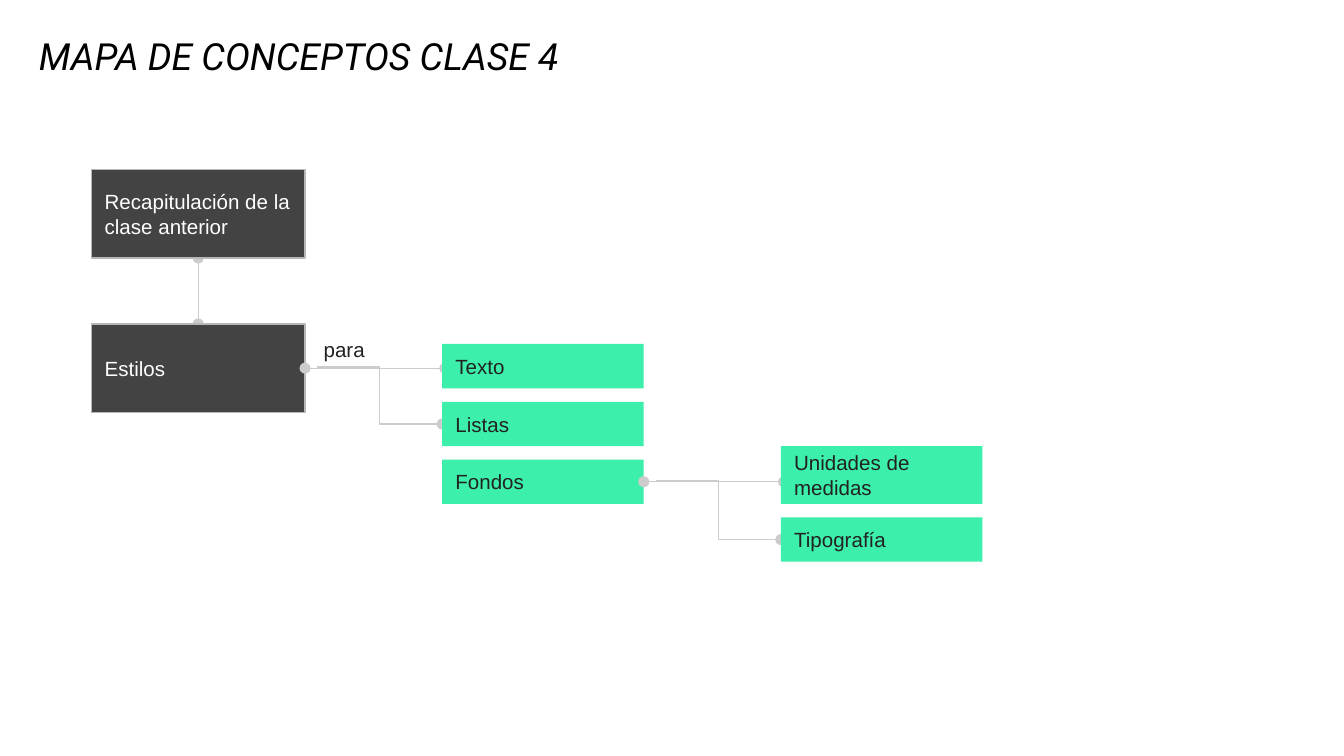
import dataclasses

import lxml.etree
import pptx
import pptx.dml.color
import pptx.enum.shapes
import pptx.enum.text
import pptx.oxml.ns
import pptx.util

SCALE = 9144  # EMU per px, 100 px to the inch
INSET = 10
GAP = 10
TOP, LEFT, BOTTOM, RIGHT = range(4)  # connection sites of a rectangle


@dataclasses.dataclass(frozen=True)
class Theme:
    dark: str = "434343"
    dark_edge: str = "B7B7B7"
    accent: str = "3CEFAB"
    link: str = "CCCCCC"
    black: str = "000000"
    white: str = "FFFFFF"
    ink: str = "222222"
    title_font: str = "Roboto"
    body_font: str = "Arial"
    title_size: int = 20
    body_size: int = 11
    line_width: float = 0.75


THEME = Theme()


def px(length):
    return pptx.util.Emu(round(length * SCALE))


def color(value):
    return pptx.dml.color.RGBColor.from_string(value)


def write(shape, text, ink, font=THEME.body_font, size=THEME.body_size,
          anchor=pptx.enum.text.MSO_ANCHOR.MIDDLE):
    frame = shape.text_frame
    frame.word_wrap = True
    frame.auto_size = pptx.enum.text.MSO_AUTO_SIZE.NONE
    frame.vertical_anchor = anchor
    frame.margin_left = frame.margin_right = px(INSET)
    frame.margin_top = frame.margin_bottom = px(INSET)
    para = frame.paragraphs[0]
    para.text = text
    para.alignment = pptx.enum.text.PP_ALIGN.LEFT
    para.font.name = font
    para.font.size = pptx.util.Pt(size)
    para.font.color.rgb = color(ink)
    return para


def add_box(page, left, top, width, height, text, fill, ink, edge=None):
    box = page.shapes.add_shape(pptx.enum.shapes.MSO_SHAPE.RECTANGLE,
                                px(left), px(top), px(width), px(height))
    box.shadow.inherit = False
    box.fill.solid()
    box.fill.fore_color.rgb = color(fill)
    if edge:
        box.line.color.rgb = color(edge)
        box.line.width = pptx.util.Pt(THEME.line_width)
    else:
        box.line.fill.background()
    write(box, text, ink)
    return box


def add_link(page, kind, start, end, dots):
    """Draw a connector between two EMU points; dots names its round ends."""
    link = page.shapes.add_connector(kind, *start, *end)
    link.line.color.rgb = color(THEME.link)
    link.line.width = pptx.util.Pt(THEME.line_width)
    outline = link.line._get_or_add_ln()
    for dot in dots:
        lxml.etree.SubElement(outline, pptx.oxml.ns.qn(f"a:{dot}"), type="oval")
    lxml.etree.SubElement(link._element.spPr, pptx.oxml.ns.qn("a:effectLst"))
    return link


def add_title(page, left, top, width, height, text):
    title = page.shapes.title
    title.left, title.top = px(left), px(top)
    title.width, title.height = px(width), px(height)
    para = write(title, text, THEME.black, THEME.title_font, THEME.title_size,
                 pptx.enum.text.MSO_ANCHOR.BOTTOM)
    para.font.italic = True


def add_trunk(page, left, top, width, upper_text, lower_text):
    """Stack two linked dark boxes and return the lower one."""
    height, pitch = 66, 115
    middle = px(left + width / 2)
    link = add_link(page, pptx.enum.shapes.MSO_CONNECTOR.STRAIGHT,
                    (middle, px(top + height)), (middle, px(top + pitch)),
                    ("headEnd", "tailEnd"))
    lower, upper = [
        add_box(page, left, y, width, height, text,
                THEME.dark, THEME.white, THEME.dark_edge)
        for y, text in ((top + pitch, lower_text), (top, upper_text))
    ]
    link.begin_connect(upper, BOTTOM)
    link.end_connect(lower, TOP)
    return lower


def add_branch(page, source, left, top, width, rows):
    """Stack green (text, height) rows, link the first two to source, return the last."""
    edge = source.left + source.width
    middle = source.top + source.height // 2
    kinds = pptx.enum.shapes.MSO_CONNECTOR
    for index, (text, height) in enumerate(rows):
        if index == 0:
            link = add_link(page, kinds.STRAIGHT, (edge, middle),
                            (px(left + 2), middle), ("headEnd", "tailEnd"))
            link.begin_connect(source, RIGHT)
        elif index == 1:
            add_link(page, kinds.ELBOW, (edge + px(9), middle - px(1)),
                     (px(left), px(top + height / 2)), ("tailEnd",))
        box = add_box(page, left, top, width, height, text, THEME.accent, THEME.ink)
        top += height + GAP
    return box


def add_label(page, left, top, width, height, text):
    label = page.shapes.add_textbox(px(left), px(top), px(width), px(height))
    write(label, text, THEME.ink, anchor=pptx.enum.text.MSO_ANCHOR.TOP)


def main():
    deck = pptx.Presentation()
    deck.slide_width = px(1000)
    deck.slide_height = deck.slide_width * 9 // 16
    page = deck.slides.add_slide(deck.slide_layouts[0])
    subtitle = page.placeholders[1]._element
    subtitle.getparent().remove(subtitle)

    add_title(page, 19, 22, 826, 46, "MAPA DE CONCEPTOS CLASE 4")
    styles = add_trunk(page, 68, 126, 159,
                       "Recapitulación de la clase anterior", "Estilos")
    backgrounds = add_branch(page, styles, 329, 256, 150,
                             (("Texto", 33), ("Listas", 33), ("Fondos", 33)))
    add_label(page, 231, 241, 56, 43, "para")
    add_branch(page, backgrounds, 581, 332, 150,
               (("Unidades de medidas", 43), ("Tipografía", 33)))
    deck.save("out.pptx")


if __name__ == "__main__":
    main()
